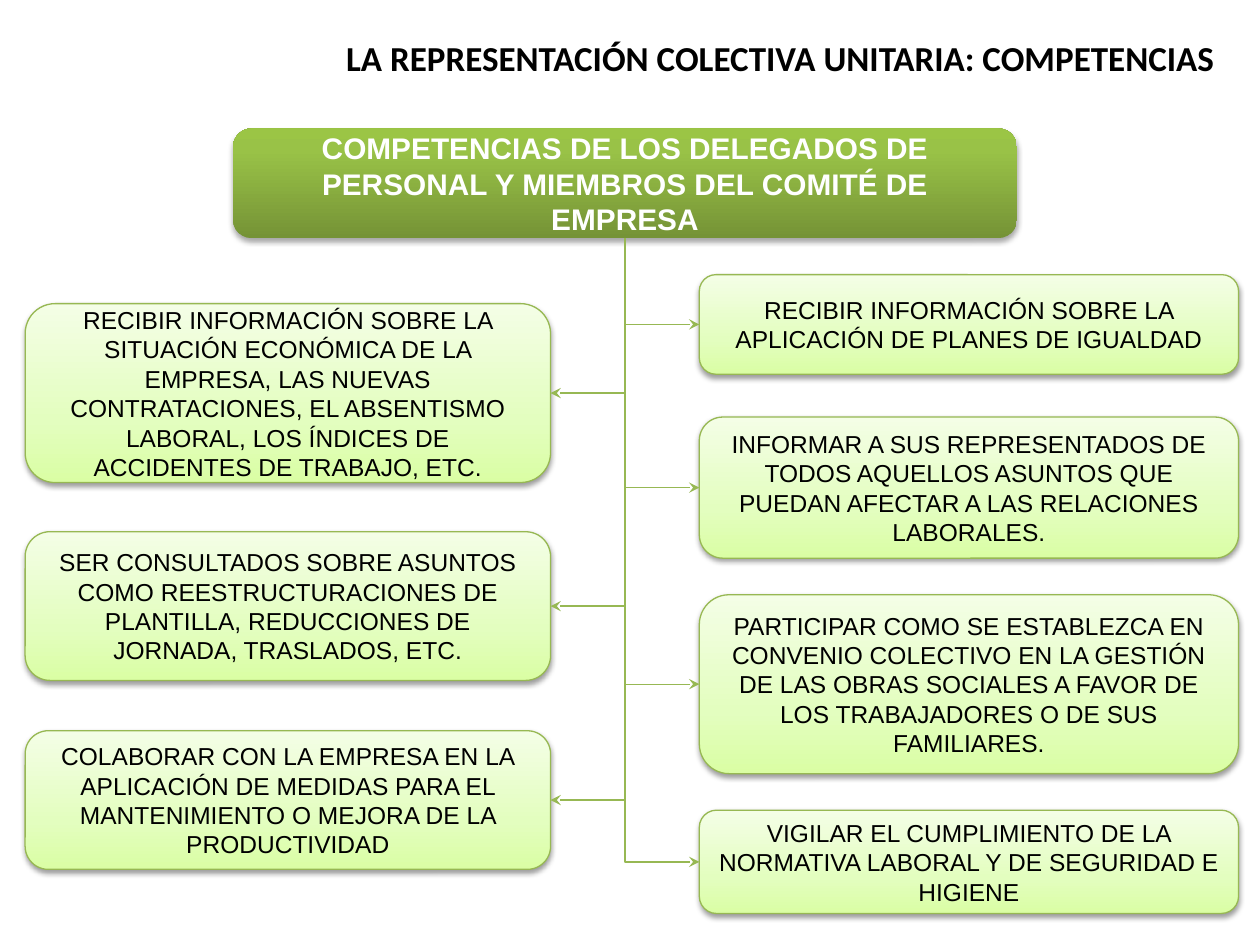
"""Build a slide on the powers of unitary collective representation at work."""
from dataclasses import dataclass

from pptx import Presentation
from pptx import util as u
from pptx.dml.color import RGBColor
from pptx.enum import shapes, text
from pptx.oxml import parse_xml
from pptx.oxml.ns import nsdecls, qn


@dataclass(frozen=True)
class Theme:
    line: str = "97B853"
    dark: str = "000000"
    light: str = "FFFFFF"
    header_fill: tuple = ((0, "759336"), (80, "99C247"), (100, "9BC545"))
    card_fill: tuple = ((0, "DAFEA4"), (35, "E3FEBF"), (100, "F4FEE6"))
    title_font: str = "Calibri"
    body_font: str = "Arial"
    title_size: int = 20
    header_size: int = 17
    card_size: int = 14
    line_width: float = 0.75


class SlideBuilder:
    def __init__(self, page, theme):
        self.page = page
        self.theme = theme

    def label(self, box, words, font, size, color, bold=False):
        frame = box.text_frame
        frame.word_wrap = True
        frame.vertical_anchor = text.MSO_ANCHOR.MIDDLE
        frame.text = words
        para = frame.paragraphs[0]
        para.alignment = text.PP_ALIGN.CENTER
        span = para.runs[0]
        span.font.name = font
        span.font.size = u.Pt(size)
        span.font.bold = bold
        span.font.color.rgb = RGBColor.from_string(color)

    def title(self, words, place):
        box = self.page.shapes.add_textbox(*map(u.Inches, place))
        self.label(box, words, self.theme.title_font, self.theme.title_size, self.theme.dark, True)

    def rounded_box(self, place, stops, shadow_opacity, shadow_distance):
        box = self.page.shapes.add_shape(
            shapes.MSO_SHAPE.ROUNDED_RECTANGLE, *map(u.Inches, place))
        box.fill.gradient()
        box.fill.gradient_angle = 90
        stop_list = box.element.spPr.find(qn("a:gradFill")).find(qn("a:gsLst"))
        stop_list.clear()
        for position, color in stops:
            stop_list.append(parse_xml(
                f'<a:gs {nsdecls("a")} pos="{position * 1000}"><a:srgbClr val="{color}"/></a:gs>'))
        box.shadow.inherit = False
        box.element.spPr.find(qn("a:effectLst")).append(parse_xml(
            f'<a:outerShdw {nsdecls("a")} blurRad="{u.Pt(3.1)}" dist="{u.Pt(shadow_distance)}" '
            f'dir="5400000" rotWithShape="0"><a:srgbClr val="000000">'
            f'<a:alpha val="{shadow_opacity * 1000}"/></a:srgbClr></a:outerShdw>'))
        return box

    def outline(self, line):
        line.color.rgb = RGBColor.from_string(self.theme.line)
        line.width = u.Pt(self.theme.line_width)

    def header(self, words, place):
        box = self.rounded_box(place, self.theme.header_fill, 35, 1.8)
        box.line.fill.background()
        self.label(box, words, self.theme.body_font, self.theme.header_size, self.theme.light, True)
        return box

    def card(self, words, place):
        box = self.rounded_box(place, self.theme.card_fill, 38, 1.6)
        self.outline(box.line)
        self.label(box, words, self.theme.body_font, self.theme.card_size, self.theme.dark)
        return box

    def branch(self, header, card):
        to_right = card.left > header.left + header.width // 2
        arrow = self.page.shapes.add_connector(shapes.MSO_CONNECTOR.ELBOW, 0, 0, 0, 0)
        arrow.begin_connect(header, 2)
        arrow.end_connect(card, 1 if to_right else 3)
        left, top, across, down = arrow.left, arrow.top, arrow.width, arrow.height
        arrow.left = left + (across - down) // 2
        arrow.top = top + (down - across) // 2
        arrow.width, arrow.height = down, across
        properties = arrow.element.spPr
        frame = properties.find(qn("a:xfrm"))
        frame.set("rot", "16200000" if to_right else "5400000")
        frame.set("flipH", "1" if to_right else "0")
        frame.set("flipV", "0")
        properties.find(qn("a:prstGeom")).set("prst", "bentConnector2")
        self.outline(arrow.line)
        properties.find(qn("a:ln")).append(parse_xml(
            f'<a:tailEnd {nsdecls("a")} type="stealth"/>'))
        properties.append(parse_xml(f'<a:effectLst {nsdecls("a")}/>'))


LEFT_COLUMN = (0.2, 4.17)
RIGHT_COLUMN = (5.55, 4.28)
CARDS = [
    (RIGHT_COLUMN, 2.18, 0.79, "RECIBIR INFORMACIÓN SOBRE LA APLICACIÓN DE PLANES DE IGUALDAD"),
    (RIGHT_COLUMN, 3.31, 1.12, "INFORMAR A SUS REPRESENTADOS DE TODOS AQUELLOS ASUNTOS QUE PUEDAN "
     "AFECTAR A LAS RELACIONES LABORALES."),
    (RIGHT_COLUMN, 4.72, 1.42, "PARTICIPAR COMO SE ESTABLEZCA EN CONVENIO COLECTIVO EN LA GESTIÓN "
     "DE LAS OBRAS SOCIALES A FAVOR DE LOS TRABAJADORES O DE SUS FAMILIARES."),
    (RIGHT_COLUMN, 6.43, 0.82, "VIGILAR EL CUMPLIMIENTO DE LA NORMATIVA LABORAL Y DE SEGURIDAD "
     "E HIGIENE"),
    (LEFT_COLUMN, 2.41, 1.42, "RECIBIR INFORMACIÓN SOBRE LA SITUACIÓN ECONÓMICA DE LA EMPRESA, "
     "LAS NUEVAS CONTRATACIONES, EL ABSENTISMO LABORAL, LOS ÍNDICES DE ACCIDENTES DE TRABAJO, ETC."),
    (LEFT_COLUMN, 4.22, 1.18, "SER CONSULTADOS SOBRE ASUNTOS COMO REESTRUCTURACIONES DE PLANTILLA, "
     "REDUCCIONES DE JORNADA, TRASLADOS, ETC."),
    (LEFT_COLUMN, 5.8, 1.1, "COLABORAR CON LA EMPRESA EN LA APLICACIÓN DE MEDIDAS PARA EL "
     "MANTENIMIENTO O MEJORA DE LA PRODUCTIVIDAD"),
]


def main():
    deck = Presentation()
    deck.slide_width, deck.slide_height = u.Inches(10), u.Inches(7.5)
    builder = SlideBuilder(deck.slides.add_slide(deck.slide_layouts[6]), Theme())
    header = builder.header(
        "COMPETENCIAS DE LOS DELEGADOS DE PERSONAL Y MIEMBROS DEL COMITÉ DE EMPRESA",
        (1.85, 1.02, 6.22, 0.87))
    cards = [builder.card(words, (left, top, width, height))
             for (left, width), top, height, words in CARDS]
    for card in cards:
        builder.branch(header, card)
    builder.title("LA REPRESENTACIÓN COLECTIVA UNITARIA: COMPETENCIAS", (2.56, 0.18, 7.27, 0.55))
    deck.save("out.pptx")


if __name__ == "__main__":
    main()
